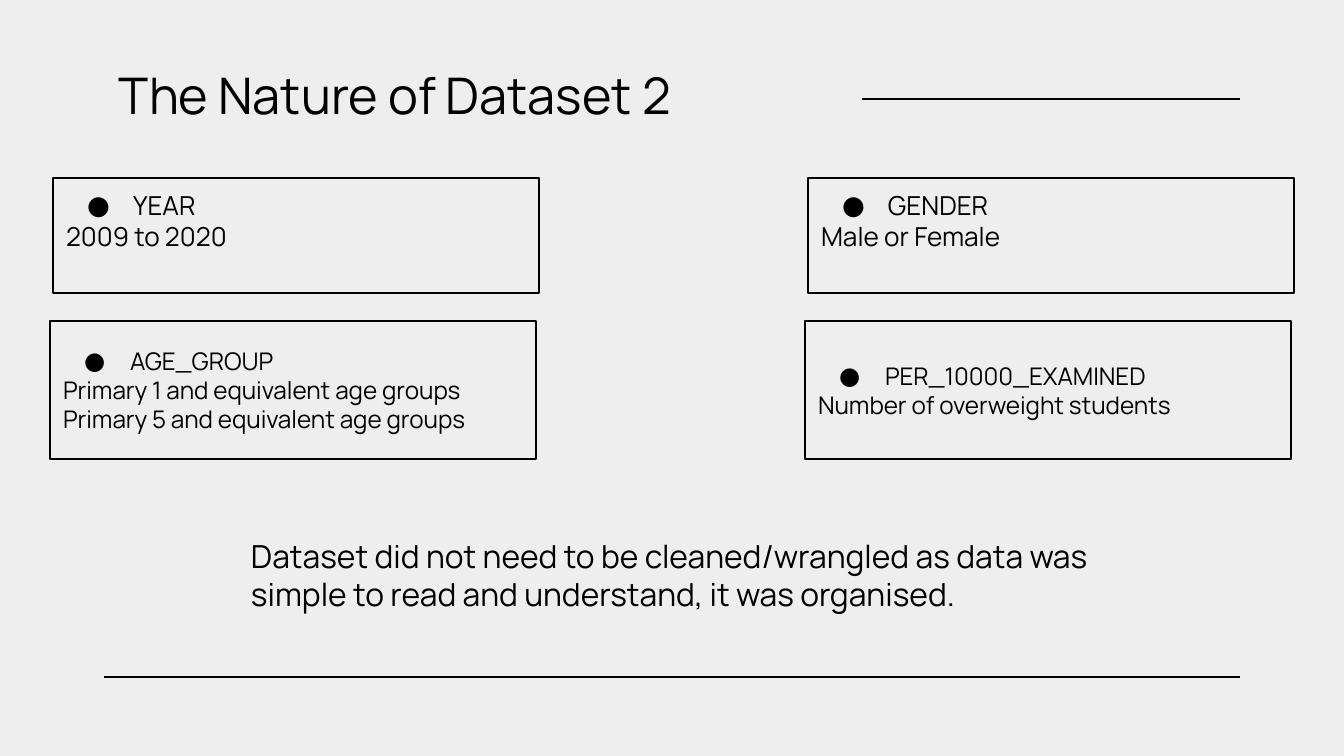
from dataclasses import dataclass

from lxml.etree import SubElement
from pptx import Presentation
from pptx.dml.color import RGBColor
from pptx.enum.shapes import MSO_CONNECTOR, MSO_SHAPE
from pptx.enum.text import MSO_ANCHOR, PP_ALIGN
from pptx.oxml.ns import qn
from pptx.util import Emu, Pt


@dataclass(frozen=True)
class Theme:
    font: str = "Manrope"
    ink: RGBColor = RGBColor(0x00, 0x00, 0x00)
    paper: RGBColor = RGBColor(0xEE, 0xEE, 0xEE)
    title_size: int = 27
    summary_size: int = 17
    upper_size: int = 14
    lower_size: int = 13
    rule_width: float = 0.75


THEME = Theme()
INSET = 13
CARD_WIDTH = 486
COLUMN_STEP = 755


def px(length):
    return Emu(round(length * 914400 / 134.4))


def add_rule(slide, left, right, y):
    rule = slide.shapes.add_connector(
        MSO_CONNECTOR.STRAIGHT, px(left), px(y), px(right), px(y))
    rule.line.color.rgb = THEME.ink
    rule.line.width = Pt(THEME.rule_width)
    SubElement(rule._element.spPr, qn("a:effectLst"))


def set_frame(frame, anchor, top=INSET, bottom=INSET):
    frame.word_wrap = True
    frame.vertical_anchor = anchor
    frame.margin_left = frame.margin_right = px(INSET)
    frame.margin_top, frame.margin_bottom = px(top), px(bottom)


def add_run(paragraph, text, size):
    paragraph.alignment = PP_ALIGN.LEFT
    run = paragraph.add_run()
    run.text = text
    run.font.name = THEME.font
    run.font.size = Pt(size)
    run.font.color.rgb = THEME.ink


def add_bullet(paragraph):
    properties = paragraph._p.get_or_add_pPr()
    properties.set("marL", str(px(67)))
    properties.set("indent", str(px(-46)))
    color = SubElement(properties, qn("a:buClr"))
    SubElement(color, qn("a:srgbClr"), val=str(THEME.ink))
    SubElement(properties, qn("a:buFont"), typeface=THEME.font)
    SubElement(properties, qn("a:buChar"), char="●")


def add_text(slide, box, text, size, anchor):
    frame = slide.shapes.add_textbox(*map(px, box)).text_frame
    set_frame(frame, anchor)
    add_run(frame.paragraphs[0], text, size)


def add_card(slide, box, field, values, size, top, bottom):
    card = slide.shapes.add_shape(MSO_SHAPE.RECTANGLE, *map(px, box))
    card.shadow.inherit = False
    card.fill.background()
    card.line.color.rgb = THEME.ink
    card.line.width = Pt(THEME.rule_width)
    frame = card.text_frame
    set_frame(frame, MSO_ANCHOR.MIDDLE, top, bottom)
    heading = frame.paragraphs[0]
    add_bullet(heading)
    add_run(heading, field, size)
    for value in values:
        add_run(frame.add_paragraph(), value, size)


def add_card_row(slide, left, y, height, fields, size, top=INSET, bottom=INSET):
    for column, (field, values) in enumerate(fields):
        box = (left + column * COLUMN_STEP, y, CARD_WIDTH, height)
        add_card(slide, box, field, values, size, top, bottom)


def main():
    deck = Presentation()
    deck.slide_width, deck.slide_height = px(1344), px(756)
    slide = deck.slides.add_slide(deck.slide_layouts[6])
    slide.background.fill.solid()
    slide.background.fill.fore_color.rgb = THEME.paper

    add_rule(slide, 104, 1240, 677)
    add_text(slide, (106, 51, 1133, 85), "The Nature of Dataset 2",
             THEME.title_size, MSO_ANCHOR.TOP)
    add_rule(slide, 862, 1240, 99)

    add_card_row(slide, 53, 178, 115, [
        ("YEAR", ["2009 to 2020"]),
        ("GENDER", ["Male or Female"]),
    ], THEME.upper_size, top=5, bottom=35)
    add_card_row(slide, 50, 321, 138, [
        ("AGE_GROUP", ["Primary 1 and equivalent age groups",
                       "Primary 5 and equivalent age groups"]),
        ("PER_10000_EXAMINED", ["Number of overweight students"]),
    ], THEME.lower_size)

    add_text(slide, (238, 499, 868, 152),
             "Dataset did not need to be cleaned/wrangled as data was "
             "simple to read and understand, it was organised.",
             THEME.summary_size, MSO_ANCHOR.MIDDLE)
    deck.save("out.pptx")


if __name__ == "__main__":
    main()
